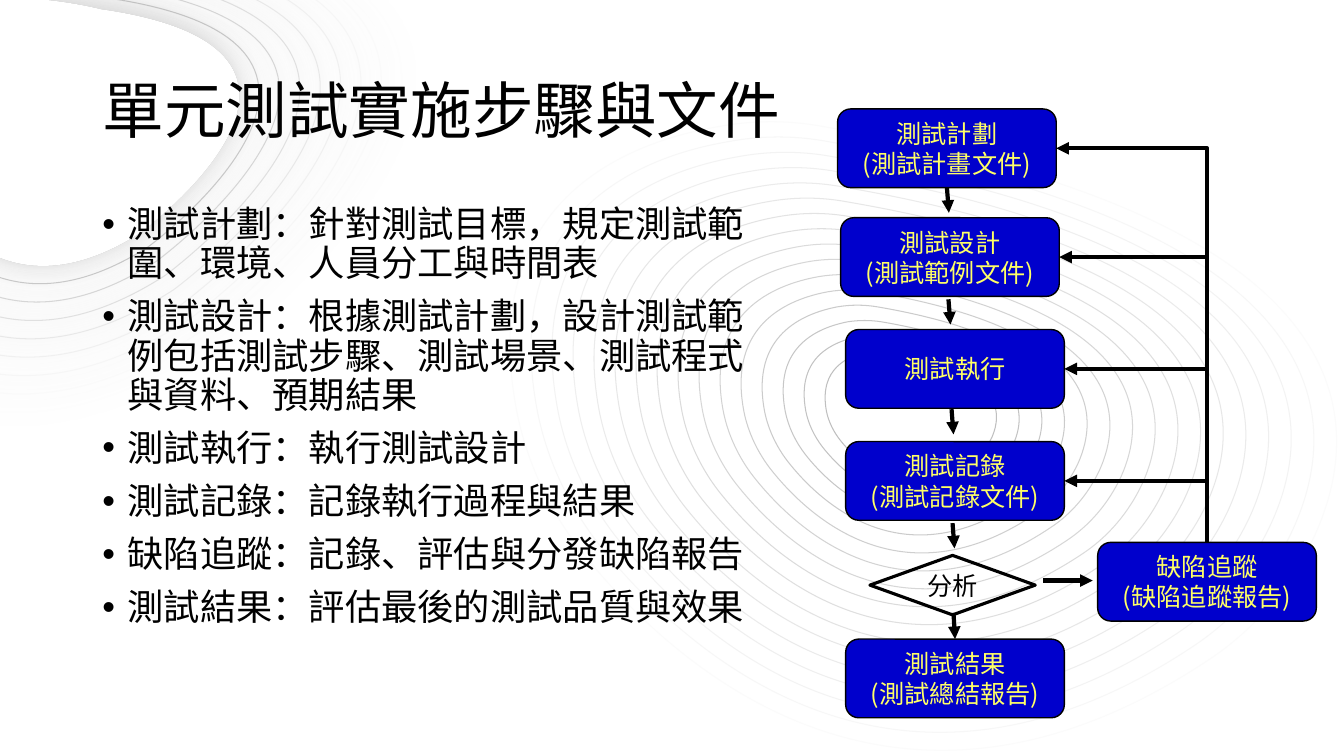
"""Build the slide on unit test steps and documents."""
import pptx
import pptx.dml.color
import pptx.enum.shapes
import pptx.enum.text
import pptx.oxml.ns
import pptx.util
from lxml import etree

Pt = pptx.util.Pt
SHAPE = pptx.enum.shapes.MSO_SHAPE
CONNECTOR = pptx.enum.shapes.MSO_CONNECTOR
ALIGN = pptx.enum.text.PP_ALIGN
ANCHOR = pptx.enum.text.MSO_ANCHOR
qn = pptx.oxml.ns.qn

THEME = {
    "font": "Noto Sans CJK SC", "ink": "000000", "paper": "FFFFFF",
    "box": "0000CC", "label": "FFFF66", "glow": "323232",
    "title": 44, "body": 25.9, "step": 18,
    "hairline": 0.75, "box_line": 1, "decision_line": 2.25, "arrow_line": 3,
}

TITLE = "單元測試實施步驟與文件"
POINTS = [
    "測試計劃：針對測試目標，規定測試範圍、環境、人員分工與時間表",
    "測試設計：根據測試計劃，設計測試範例包括測試步驟、測試場景、測試程式與資料、預期結果",
    "測試執行：執行測試設計",
    "測試記錄：記錄執行過程與結果",
    "缺陷追蹤：記錄、評估與分發缺陷報告",
    "測試結果：評估最後的測試品質與效果",
]
STEPS = {
    "plan": (598.3, 77.8, ["測試計劃", "(測試計畫文件)"]),
    "design": (600.5, 155.5, ["測試設計", "(測試範例文件)"]),
    "run": (604.1, 235.4, ["測試執行"]),
    "record": (604.1, 315.4, ["測試記錄", "(測試記錄文件)"]),
    "result": (604.1, 456.5, ["測試結果", "(測試總結報告)"]),
    "defect": (784.1, 387.4, ["缺陷追蹤", "(缺陷追蹤報告)"]),
}
STEP_SIZE = (156.2, 56.2)
DECISION = (621.4, 396.7, 118.1, 42.5, ["分析"])
DOWN_ARROWS = [
    (676.4, 134, "plan", None), (677.5, 213.8, None, None),
    (679.7, 292.3, None, None), (680.4, 373.7, None, None),
    (681.1, 437.8, None, "result"),
]
DOWN_REACH = (1.4, 18)
DEFECT_ARROW = (745.2, 414.7, 780.5, 414.7)
RETURNS = ["record", "run", "design", "plan"]

BLOB_INNER = [(72, 7), (72, 7), (-108, -40), (-74, 93), (-74, 93), (-27, 247),
              (100, 166), (100, 166), (276, 36), (72, 7)]
BLOB_OUTER = [(94, -63), (94, -63), (-259, -154), (-192, 104), (-192, 104), (-100, 408),
              (148, 248), (148, 248), (494, -7), (94, -63)]
RIPPLE_INNER = [
    (619.9, 251.3), (606.2, 254.2), (584.6, 262.8), (590.4, 293.8), (591.8, 301),
    (595.4, 308.2), (599.8, 313.9), (612.7, 330.5), (645.8, 361.4), (692.6, 330.5),
    (699.8, 326.2), (704.9, 319.7), (708.5, 312.5), (716.4, 294.5), (716.4, 265),
    (635.8, 251.3), (630.7, 250.6), (625, 250.6), (619.9, 251.3)]
RIPPLE_OUTER = [
    (511.9, 90.7), (445.7, 102.2), (339.8, 144.7), (369.4, 295.2), (376.6, 330.5),
    (392.4, 364.3), (414.7, 393.1), (478.1, 473), (637.2, 622.1), (864, 470.9),
    (896.4, 449.3), (922.3, 419), (938.9, 383), (977, 299.5), (975.6, 157),
    (589.7, 90.7), (563.8, 85.7), (537.8, 85.7), (511.9, 90.7)]
BLOB_RINGS, RIPPLE_RINGS = 9, 16


def rgb(code):
    return pptx.dml.color.RGBColor.from_string(code)


def child(parent, tag, **attributes):
    return etree.SubElement(parent, qn(tag), {k: str(v) for k, v in attributes.items()})


def write(frame, lines, *, size, color=THEME["ink"], align=ALIGN.LEFT, anchor=ANCHOR.TOP,
          wrap=True, insets=(7.2, 3.6), spacing=None, gap=0, bullet=None):
    frame.word_wrap, frame.vertical_anchor = wrap, anchor
    frame.margin_left = frame.margin_right = Pt(insets[0])
    frame.margin_top = frame.margin_bottom = Pt(insets[1])
    for index, line in enumerate(lines):
        paragraph = frame.add_paragraph() if index else frame.paragraphs[0]
        if bullet:
            properties = paragraph._p.get_or_add_pPr()
            properties.set("marL", str(Pt(18)))
            properties.set("indent", str(Pt(-18)))
            child(properties, "a:buFont", typeface="Arial")
            child(properties, "a:buChar", char=bullet)
        paragraph.alignment = align
        paragraph.space_before = Pt(gap if index else 0)
        if spacing:
            paragraph.line_spacing = spacing
        run = paragraph.add_run()
        run.text = line
        run.font.size, run.font.name = Pt(size), THEME["font"]
        run.font.color.rgb = rgb(color)
        child(run._r.get_or_add_rPr(), "a:ea", typeface=THEME["font"])


def blend(inner, outer, share):
    return [tuple(a + (b - a) * share for a, b in zip(p, q)) for p, q in zip(inner, outer)]


def ring(shapes, points, color, *, fill=None, opacity=100, shadow=None):
    start, *controls = [(Pt(x), Pt(y)) for x, y in points]
    builder = shapes.build_freeform(*start, scale=1.0)
    builder.add_line_segments(controls, close=True)
    curve = builder.convert_to_shape()
    corners = list(curve._element.iter(qn("a:lnTo")))
    for k in range(0, len(controls), 3):
        bend = etree.Element(qn("a:cubicBezTo"))
        corners[k].addprevious(bend)
        for corner in corners[k:k + 3]:
            bend.append(corner[0])
            corner.getparent().remove(corner)
    style(curve, fill, color, THEME["hairline"])
    if opacity < 100:
        tint = curve.line._ln.find(".//" + qn("a:srgbClr"))
        child(tint, "a:alpha", val=round(opacity * 1000))
    if shadow:
        shade, blur, strength, distance, angle = shadow
        effects = curve._element.spPr.find(qn("a:effectLst"))
        cast = child(effects, "a:outerShdw", blurRad=Pt(blur), dist=Pt(distance),
                     dir=angle * 60000, algn="ctr", rotWithShape=0)
        child(child(cast, "a:srgbClr", val=shade), "a:alpha", val=strength * 1000)


def style(shape, fill, line, width):
    shape.shadow.inherit = False
    if fill:
        shape.fill.solid()
        shape.fill.fore_color.rgb = rgb(fill)
    else:
        shape.fill.background()
    shape.line.color.rgb, shape.line.width = rgb(line), Pt(width)


def arrow(shapes, kind, ends, begin=None, end=None):
    link = shapes.add_connector(kind, *map(Pt, ends))
    if begin:
        link.begin_connect(*begin)
    if end:
        link.end_connect(*end)
    link.line.color.rgb, link.line.width = rgb(THEME["ink"]), Pt(THEME["arrow_line"])
    child(link.line._ln, "a:tailEnd", type="triangle")
    child(link._element.spPr, "a:effectLst")
    return link


def return_arrow(shapes, source, target):
    link = arrow(shapes, CONNECTOR.ELBOW, (0, 0, 1, 1), (source, 0), (target, 3))
    right, bottom = source.left + source.width // 2, source.top
    left, top = target.left + target.width, target.top + target.height // 2
    across, rise = right - left, bottom - top
    link.left, link.top = (left + right - rise) // 2, (top + bottom - across) // 2
    link.width, link.height = rise, across
    frame = link._element.spPr.find(qn("a:xfrm"))
    frame.attrib.pop("flipV", None)
    frame.set("rot", "5400000")
    frame.set("flipH", "1")
    link._element.spPr.find(qn("a:prstGeom")).set("prst", "bentConnector2")


def block(shapes, kind, place, lines, fill, line_width, color):
    part = shapes.add_shape(kind, *map(Pt, place))
    style(part, fill, THEME["ink"], line_width)
    write(part.text_frame, lines, size=THEME["step"], color=color, align=ALIGN.CENTER,
          anchor=ANCHOR.MIDDLE, wrap=False, insets=(11.5, 5.8))
    return part


def main():
    deck = pptx.Presentation()
    deck.slide_width, deck.slide_height = Pt(960), Pt(540)
    slide = deck.slides.add_slide(deck.slide_layouts[5])
    shapes = slide.shapes

    for n in reversed(range(BLOB_RINGS)):
        share = n / (BLOB_RINGS - 1)
        ring(shapes, blend(BLOB_INNER, BLOB_OUTER, share), f"{round(191 + 57 * share):02X}" * 3,
             opacity=100 - n * 100 / BLOB_RINGS, shadow=(THEME["glow"], 10, 50, 0, 0))
    ring(shapes, BLOB_INNER, THEME["paper"], fill=THEME["paper"],
         shadow=(THEME["ink"], 20, 15, 3, 225))
    for n in range(RIPPLE_RINGS):
        ring(shapes, blend(RIPPLE_INNER, RIPPLE_OUTER, n / (RIPPLE_RINGS - 1)),
             f"{191 + 4 * n:02X}" * 3)

    title = shapes.title
    shapes.element.append(title.element)
    title.left, title.top, title.width, title.height = map(Pt, (66, 28.75, 828, 104.4))
    write(title.text_frame, [TITLE], size=THEME["title"], anchor=ANCHOR.MIDDLE, spacing=0.9)
    points = shapes.add_textbox(*map(Pt, (66, 143.75, 482.5, 342.6)))
    write(points.text_frame, POINTS, size=THEME["body"], spacing=0.9, gap=10, bullet="•")

    steps = {key: block(shapes, SHAPE.ROUNDED_RECTANGLE, (left, top, *STEP_SIZE), lines,
                        THEME["box"], THEME["box_line"], THEME["label"])
             for key, (left, top, lines) in STEPS.items()}
    block(shapes, SHAPE.FLOWCHART_DECISION, DECISION[:4], DECISION[4], None,
          THEME["decision_line"], THEME["ink"])

    for x, y, source, target in DOWN_ARROWS:
        arrow(shapes, CONNECTOR.STRAIGHT, (x, y, x + DOWN_REACH[0], y + DOWN_REACH[1]),
              source and (steps[source], 2), target and (steps[target], 0))
    arrow(shapes, CONNECTOR.STRAIGHT, DEFECT_ARROW)
    for key in RETURNS:
        return_arrow(shapes, steps["defect"], steps[key])
    deck.save("out.pptx")


if __name__ == "__main__":
    main()
